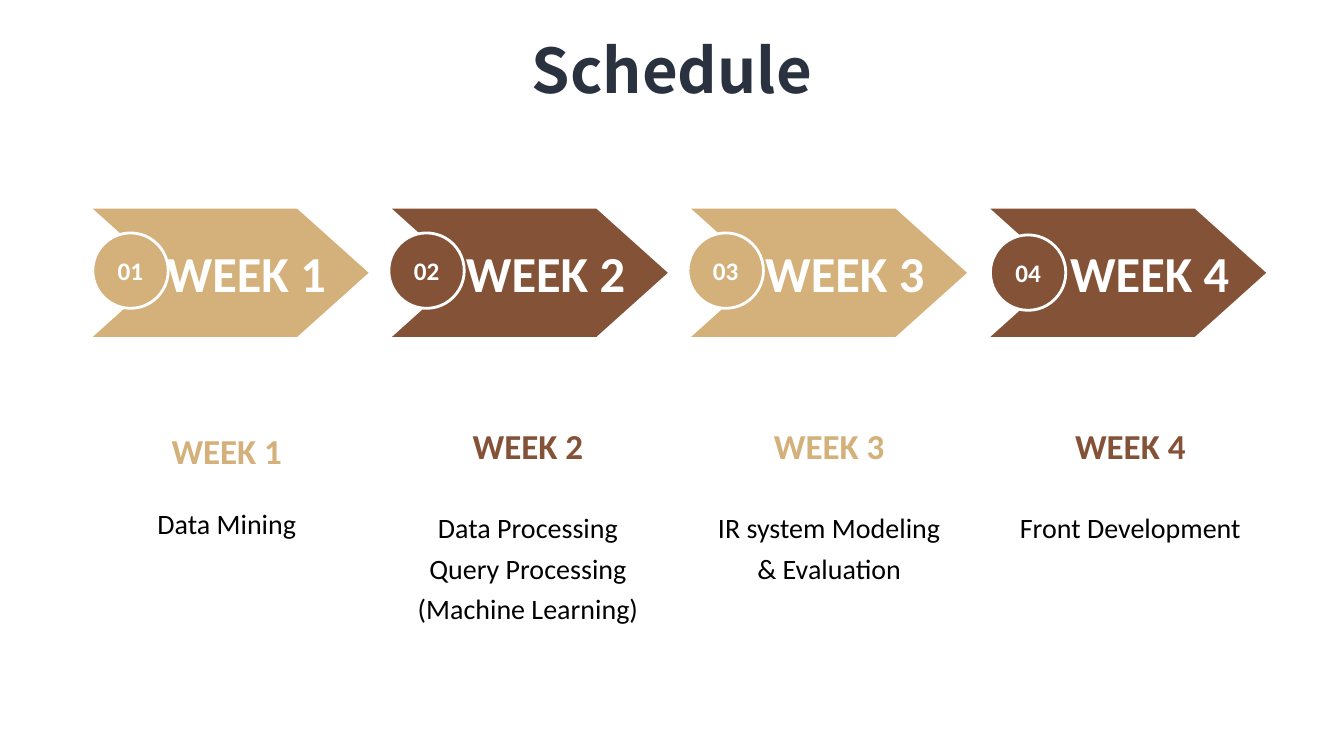
from dataclasses import dataclass

from pptx import Presentation
from pptx.dml.color import RGBColor
from pptx.enum.shapes import MSO_SHAPE
from pptx.enum.text import MSO_ANCHOR, MSO_AUTO_SIZE, PP_ALIGN
from pptx.oxml.ns import qn
from pptx.util import Cm, Pt


@dataclass(frozen=True)
class Theme:
    """Colours, fonts and type sizes of the schedule."""
    ink: RGBColor = RGBColor(0x2A, 0x31, 0x3F)
    black: RGBColor = RGBColor(0, 0, 0)
    white: RGBColor = RGBColor(255, 255, 255)
    accents: tuple = (RGBColor(0xD4, 0xB0, 0x7B), RGBColor(0x84, 0x52, 0x37))
    title_font: str = "Noto Sans CJK SC"
    font: str = "Calibri"
    title: int = 44
    arrow: int = 36
    heading: int = 25
    task: int = 20
    number: int = 18


@dataclass(frozen=True)
class Week:
    """One week, with the small shifts of its parts in centimetres."""
    number: int
    tasks: tuple
    badge_shift: tuple = (0, 0)
    label_shift: float = 0
    heading_shift: float = 0
    tasks_shift: float = 0


THEME = Theme()
WEEKS = (
    Week(1, ("Data Mining",), heading_shift=0.13, tasks_shift=-0.1),
    Week(2, ("Data Processing", "Query Processing", "(Machine Learning)"),
         badge_shift=(-0.08, 0)),
    Week(3, ("IR system Modeling", "& Evaluation"), badge_shift=(-0.08, 0)),
    Week(4, ("Front Development",), badge_shift=(0, 0.05), label_shift=0.29),
)


def place(part, left, top, width, height):
    """Move a part to the given box in centimetres."""
    part.left, part.top = Cm(left), Cm(top)
    part.width, part.height = Cm(width), Cm(height)


def write(part, lines, size, color, bold=True, font=THEME.font, spacing=None,
          anchor=MSO_ANCHOR.TOP, insets=(0, 0, 0, 0), wrap=True):
    """Write centred lines into a part, one paragraph each."""
    frame = part.text_frame
    frame.auto_size = MSO_AUTO_SIZE.NONE
    frame.word_wrap, frame.vertical_anchor = wrap, anchor
    (frame.margin_left, frame.margin_top,
     frame.margin_right, frame.margin_bottom) = map(Cm, insets)
    for index, line in enumerate(lines):
        paragraph = frame.add_paragraph() if index else frame.paragraphs[0]
        properties = paragraph._p.get_or_add_pPr()
        properties.set("marL", "0")
        properties.set("indent", "0")
        properties.append(properties.makeelement(qn("a:buNone"), {}))
        paragraph.alignment = PP_ALIGN.CENTER
        paragraph.space_before = Pt(0)
        if spacing:
            paragraph.line_spacing = spacing
        run = paragraph.add_run()
        run.text = line
        run.font.name, run.font.size, run.font.bold = font, Pt(size), bold
        run.font.color.rgb = color


def paint(part, fill, outline=None):
    """Give a part a flat fill and an optional outline."""
    part.shadow.inherit = False
    part.fill.solid()
    part.fill.fore_color.rgb = fill
    if outline:
        part.line.color.rgb, part.line.width = outline, Pt(2)
    else:
        part.line.fill.background()


def add_title(title, left, top, width, height):
    """Place the slide title in its box."""
    place(title, left, top, width, height)
    write(title, ["Schedule"], THEME.title, THEME.ink, font=THEME.title_font,
          spacing=1.5, insets=(0.25, 0.13, 0.25, 0.13))


def add_arrow(slide, week, accent, left, top, width, height):
    """Draw a week's arrow with its number badge."""
    parts = slide.shapes.add_group_shape().shapes
    point = 1.8
    shoulder, right = left + width - point, left + width
    middle, bottom = top + height / 2, top + height
    outline = [(shoulder, top), (right, middle), (shoulder, bottom),
               (left, bottom), (left + point, middle)]
    builder = parts.build_freeform(Cm(left), Cm(top))
    builder.add_line_segments([(Cm(x), Cm(y)) for x, y in outline], close=True)
    arrow = builder.convert_to_shape()
    paint(arrow, accent)
    write(arrow, [f"WEEK {week.number}"], THEME.arrow, THEME.white,
          anchor=MSO_ANCHOR.MIDDLE, insets=(1.5 + week.label_shift, 0, 0.71, 0))

    shift_x, shift_y = week.badge_shift
    badge = parts.add_shape(MSO_SHAPE.OVAL, Cm(left + shift_x),
                            Cm(top + 0.61 + shift_y), Cm(1.9), Cm(1.9))
    paint(badge, accent, THEME.white)
    write(badge, [f"{week.number:02}"], THEME.number, THEME.white,
          anchor=MSO_ANCHOR.MIDDLE, wrap=False)


def add_plan(slide, tasks, week, accent, left, top, width, height):
    """Place a week's heading and its tasks below the arrow."""
    heading = slide.shapes.add_textbox(
        Cm(left), Cm(top + week.heading_shift), Cm(width), Cm(0.69))
    write(heading, [f"WEEK {week.number}"], THEME.heading, accent)
    tasks_top = top + 1.88 + week.tasks_shift
    place(tasks, left, tasks_top, width, top + height - tasks_top)
    write(tasks, week.tasks, THEME.task, THEME.black, bold=False, spacing=1.2,
          insets=(0.25, 0.13, 0.25, 0.13))


def build_schedule(presentation):
    """Build the four-week schedule slide."""
    slide = presentation.slides.add_slide(
        presentation.slide_layouts.get_by_name("Comparison"))
    add_title(slide.shapes.title, 3.61, -0.25, 26.65, 2.74)
    for index, week in enumerate(WEEKS):
        accent = THEME.accents[index % 2]
        add_arrow(slide, week, accent, 2.34 + 7.54 * index, 5.26, 6.95, 3.23)
        add_plan(slide, slide.placeholders[week.number], week, accent,
                 2.16 + 7.59 * index, 10.69, 7.11, 4.98)
    for placeholder in list(slide.placeholders):
        if not placeholder.text_frame.text:
            placeholder._element.getparent().remove(placeholder._element)


def main():
    """Create and save the presentation."""
    presentation = Presentation()
    presentation.slide_width, presentation.slide_height = Cm(33.87), Cm(19.05)
    build_schedule(presentation)
    presentation.save("out.pptx")


if __name__ == "__main__":
    main()
